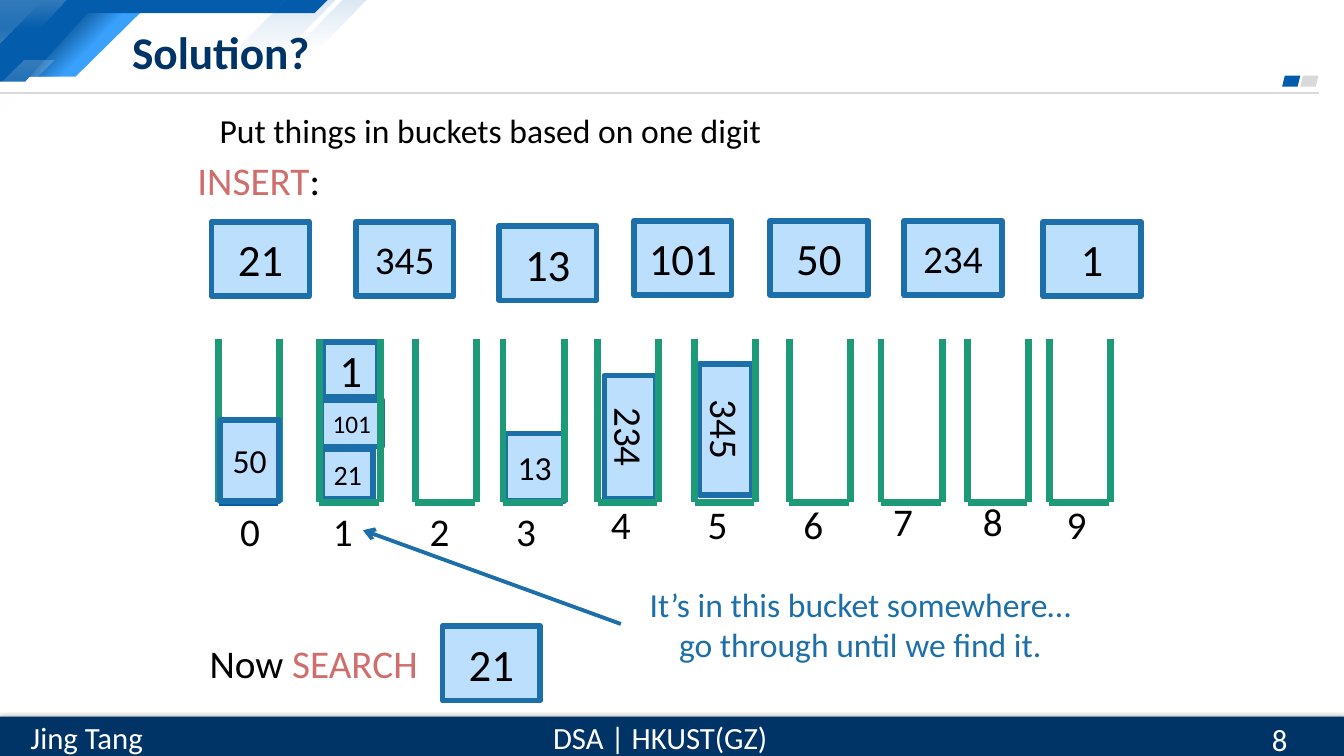
from dataclasses import dataclass

from lxml import etree
from pptx import Presentation
from pptx import util as u
from pptx.dml import color
from pptx.enum import shapes, text
from pptx.oxml import ns

Pt = u.Pt
LEFT, MID = text.PP_ALIGN.LEFT, text.PP_ALIGN.CENTER
KIND = shapes.MSO_SHAPE


@dataclass(frozen=True)
class Theme:
    font: str = "Calibri"
    white: str = "FFFFFF"
    black: str = "000000"
    navy: str = "003366"
    brand: str = "035CAC"
    sky: str = "39A0FC"
    shade: str = "024581"
    gray: str = "D9D9D9"
    pale: str = "BDDFFE"
    blue: str = "1D6FA9"
    green: str = "1D9A78"
    red: str = "CF6E6C"
    title: float = 32.4
    huge: float = 32
    large: float = 28
    body: float = 24
    foot: float = 22
    small: float = 20
    tiny: float = 18


T = Theme()

# Left edge of each bucket; left and top of its label
BUCKETS = [
    (156.2, 164.2, 358.6), (228.2, 230.4, 358.6), (296.6, 299.5, 358.6),
    (359.3, 361.4, 358.6), (427, 429.1, 354.2), (496.1, 498.2, 354.2),
    (563.8, 566.6, 353.5), (629.3, 630.7, 351.4), (691.2, 694.8, 351.4),
    (749.5, 754.6, 354.2),
]
RIM, FLOOR, WIDTH = 241.9, 358.6, 43.6

# Items in buckets: wording, box, type size, turn
STORED = [
    ("345", (471.6, 288, 93.6, 37.4), T.large, 90),
    ("50", (157, 300.2, 42.5, 57.6), T.body, 0),
    ("13", (360.7, 309.6, 42.5, 48.2), T.body, 0),
    ("21", (230.4, 321.1, 36, 35.3), T.small, 0),
    ("101", (229.7, 285.8, 43.2, 33.1), T.tiny, 0),
    ("1", (231.1, 244.1, 38.9, 39.6), T.huge, 0),
    ("234", (406.1, 293.8, 87.8, 36.7), T.large, 90),
]

# Items to insert: wording, left, top, type size
INPUT = [
    ("21", 151.2, 158.4, T.huge), ("345", 254.2, 158.4, T.large),
    ("13", 356.4, 161.3, T.huge), ("101", 452.9, 157.7, T.huge),
    ("50", 550.1, 157.7, T.huge), ("234", 645.8, 157.7, T.large),
    ("1", 745.2, 158.4, T.huge),
]
CARD = (69.8, 53.3)


def rgb(tone):
    return color.RGBColor.from_string(tone)


def node(up, tag, **atts):
    return etree.SubElement(up, ns.qn("a:" + tag), {k: str(v) for k, v in atts.items()})


def tint(up, tone, alpha):
    node(node(up, "srgbClr", val=tone), "alpha", val=alpha * 1000)


def paint(shape, fill):
    """Fill with a colour, or with (tone, angle, stops of place and alpha)."""
    shape.shadow.inherit = False
    shape.line.fill.background()
    if isinstance(fill, str):
        shape.fill.solid()
        shape.fill.fore_color.rgb = rgb(fill)
        return
    tone, angle, stops = fill
    shape.fill.gradient()
    grad = shape._element.spPr.find(ns.qn("a:gradFill"))
    for kid in list(grad):
        grad.remove(kid)
    row = node(grad, "gsLst")
    for place, alpha in stops:
        tint(node(row, "gs", pos=place * 1000), tone, alpha)
    node(grad, "lin", ang=angle * 60000, scaled=0)


def block(slide, kind, box, fill):
    shape = slide.shapes.add_shape(kind, *map(Pt, box))
    paint(shape, fill)
    return shape


def facet(slide, points, fill):
    points = [(Pt(x), Pt(y)) for x, y in points]
    path = slide.shapes.build_freeform(*points[0], scale=1.0)
    path.add_line_segments(points[1:], close=True)
    paint(path.convert_to_shape(), fill)


def line(slide, start, end, tone, width, arrow=False):
    link = slide.shapes.add_connector(
        shapes.MSO_CONNECTOR.STRAIGHT, *map(Pt, start + end))
    link.line.color.rgb = rgb(tone)
    link.line.width = Pt(width)
    if arrow:
        node(link.line._get_or_add_ln(), "tailEnd", type="arrow")
    node(link._element.spPr, "effectLst")


def write(frame, rows, size, align=LEFT, bold=False):
    """Each row is a list of (wording, tone) runs."""
    for i, row in enumerate(rows):
        para = frame.add_paragraph() if i else frame.paragraphs[0]
        para.alignment = align
        for words, tone in row:
            run = para.add_run()
            run.text = words
            run.font.name, run.font.size = T.font, Pt(size)
            run.font.bold = bold
            run.font.color.rgb = rgb(tone)


def label(slide, box, rows, size, align=LEFT, wrap=True, anchor=text.MSO_ANCHOR.TOP):
    frame = slide.shapes.add_textbox(*map(Pt, box)).text_frame
    frame.word_wrap = wrap
    frame.vertical_anchor = anchor
    write(frame, rows, size, align)


def card(slide, words, box, size, turn=0):
    shape = block(slide, KIND.RECTANGLE, box, T.pale)
    shape.line.color.rgb = rgb(T.blue)
    shape.line.width = Pt(4)
    shape.rotation = turn
    frame = shape.text_frame
    frame.margin_left = frame.margin_right = 0
    frame.vertical_anchor = text.MSO_ANCHOR.MIDDLE
    write(frame, [[(words, T.black)]], size, MID)


def bucket(slide, left, base=T.green):
    for x in (left, left + WIDTH):
        line(slide, (x, RIM), (x, FLOOR), T.green, 5)
    line(slide, (left + WIDTH - 1, FLOOR), (left, FLOOR), base, 5)


def corner(slide):
    glow = (T.white, 90, [(0, 20), (100, 0)])
    haze = (T.brand, 90, [(0, 15), (100, 0)])
    wedge = [(60.5, 5), (104.4, 5), (54, 54.7), (11.5, 54.7)]
    facet(slide, wedge, T.sky)
    facet(slide, wedge, (T.shade, 45, [(29, 100), (57, 0)]))
    facet(slide, [(0, 0), (234, 0), (224.6, 9.4), (62.6, 9.4), (18, 58.3), (0, 58.3)], T.brand)
    tip = block(slide, KIND.RIGHT_TRIANGLE, (0, 0, 30.2, 30.2), glow)
    tip._element.spPr.xfrm.set("flipV", "1")
    facet(slide, [(0, 0), (47.5, 0), (28, 20.2), (0, 20.2)], glow)
    facet(slide, [(204.5, 0), (239.8, 0), (195.8, 43.9), (159.8, 43.9)], haze)
    facet(slide, [(244.8, 0), (262.1, 0), (226.8, 35.3), (209.5, 35.3)], haze)
    facet(slide, [(16.6, 43.2), (38.2, 43.2), (-5, 86.4), (-26.6, 86.4)], glow)


def footer(slide):
    bar = block(slide, KIND.RECTANGLE, (0, 511.9, 960, 28.8), T.navy)
    cast = node(bar._element.spPr.find(ns.qn("a:effectLst")), "outerShdw",
                blurRad=Pt(4.5), dist=Pt(1.5), dir=90 * 60000)
    tint(cast, T.black, 63)
    for words, box, align in [
        ("DSA | HKUST(GZ)", (385.9, 509.8, 171.4, 33.8), MID),
        ("Jing Tang", (11.5, 509.8, 100.8, 33.8), MID),
        ("8", (901.4, 513.4, 58.3, 28.8), LEFT),
    ]:
        label(slide, box, [[(words, T.white)]], T.foot, align, anchor=text.MSO_ANCHOR.MIDDLE)


def head(slide):
    title = slide.shapes.title
    title.left, title.top, title.width, title.height = map(Pt, (87.1, 12.2, 735.1, 49.7))
    title.text_frame.vertical_anchor = text.MSO_ANCHOR.MIDDLE
    write(title.text_frame, [[("Solution?", T.navy)]], T.title, bold=True)
    slide.shapes._spTree.append(title._element)  # bring in front of the corner


def main():
    deck = Presentation()
    deck.slide_width, deck.slide_height = Pt(960), Pt(540)
    slide = deck.slides.add_slide(deck.slide_layouts[5])

    # Frame of the slide
    corner(slide)
    line(slide, (0, 66.2), (942.5, 66.2), T.gray, 1.5)
    for left, tone in [(928.8, T.gray), (915.8, T.brand)]:
        block(slide, KIND.PARALLELOGRAM, (left, 54, 13, 7.9), tone)
    footer(slide)
    head(slide)

    # Buckets and their items; the first bucket lies behind its item
    for digit, (_, left, top) in enumerate(BUCKETS):
        label(slide, (left, top, 28.8, 41), [[(str(digit), T.black)]], T.large, MID, wrap=False)
    bucket(slide, BUCKETS[0][0], T.brand)
    for words, box, size, turn in STORED:
        card(slide, words, box, size, turn)
    for left, *_ in BUCKETS[1:]:
        bucket(slide, left)

    # Insert
    label(slide, (149.8, 74.9, 430.6, 36),
          [[("Put things in buckets based on one digit", T.black)]], T.body)
    label(slide, (133.9, 108, 164.2, 41), [[("INSERT", T.red), (":", T.black)]], T.large)
    for words, left, top, size in INPUT:
        card(slide, words, (left, top, *CARD), size)

    # Search
    label(slide, (142.6, 452.9, 650.9, 41), [[("Now ", T.black), ("SEARCH", T.red)]], T.large)
    card(slide, "21", (316.1, 447.1, *CARD), T.huge)
    label(slide, (443.5, 413.3, 342, 65.5),
          [[("It’s in this bucket somewhere…", T.blue)],
           [("go through until we find it.", T.blue)]], T.body, MID)
    line(slide, (443.5, 445.7), (259.2, 378.7), T.blue, 2.75, arrow=True)

    deck.save("out.pptx")


if __name__ == "__main__":
    main()
